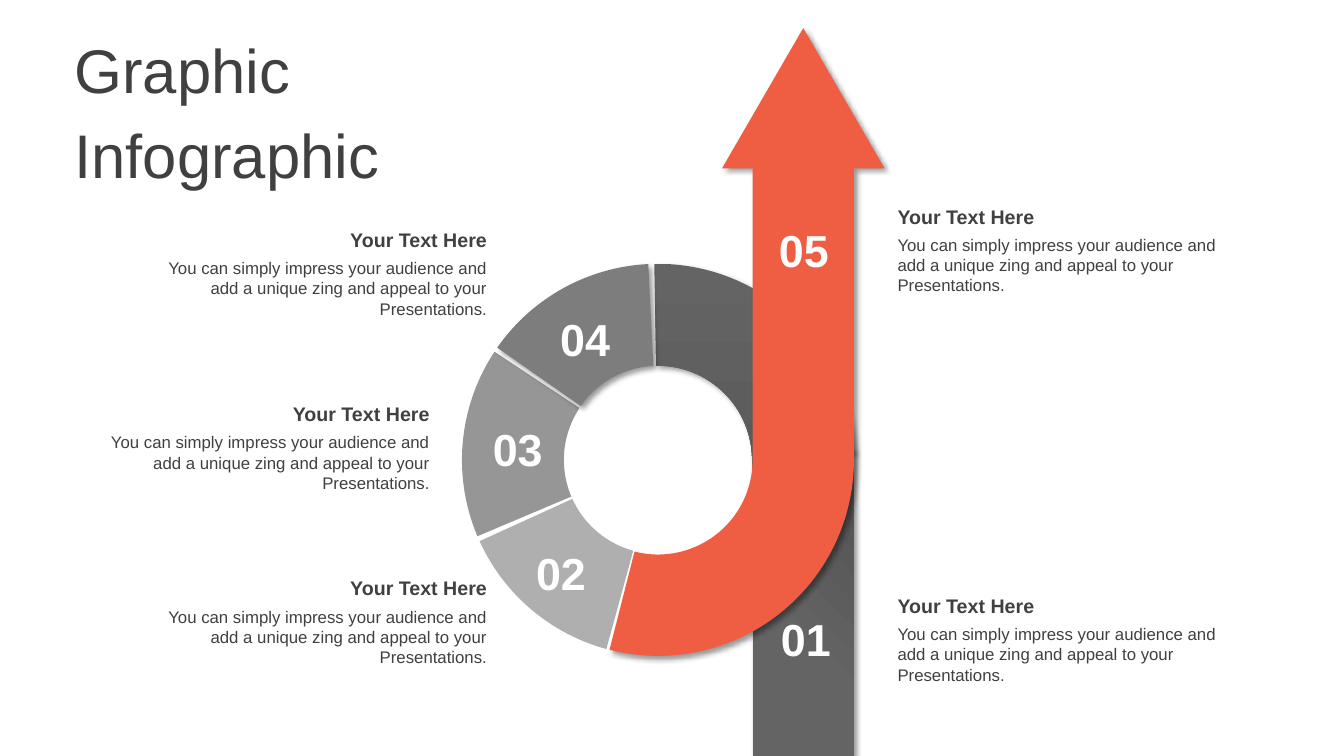
from dataclasses import dataclass
from math import cos, radians, sin

from lxml import etree
from pptx import Presentation
from pptx.dml import color
from pptx.enum import shapes, text
from pptx.oxml import ns
from pptx.shapes.base import BaseShape
from pptx.shapes.shapetree import GroupShapes, SlideShapes
from pptx.util import Pt

RGBColor = color.RGBColor
TEXT_GRAY = RGBColor(0x40, 0x40, 0x40)
WHITE = RGBColor(0xFF, 0xFF, 0xFF)
ORANGE = RGBColor(0xEF, 0x5E, 0x42)
ROAD_LIGHT = RGBColor(0x64, 0x64, 0x64)
ROAD_DARK = RGBColor(0x50, 0x50, 0x50)
FONT = "Arial"
LEFT, CENTER, RIGHT = text.PP_ALIGN.LEFT, text.PP_ALIGN.CENTER, text.PP_ALIGN.RIGHT

SLIDE_WIDTH, SLIDE_HEIGHT = 960, 540
RING_X, RING_Y, OUTER, INNER = 470, 328.5, 140, 67.6
STEM_LEFT, STEM_RIGHT = RING_X + INNER, RING_X + OUTER
STEM_MIDDLE = (STEM_LEFT + STEM_RIGHT) / 2
ROAD_TOP = 321
TIP_Y, HEAD_Y, HEAD_HALF = 20, 120.2, 58
HOOK_END, HOOK_STEPS = 104.3, 48
CALLOUT_WIDTH = 250

HEADING = "Your Text Here"
BODY = ("You can simply impress your audience and add a unique zing "
        "and appeal to your Presentations.")


@dataclass(frozen=True)
class Segment:
    rotation: float
    start: float
    end: float
    fill: RGBColor | None  # None means the road gradient
    shadow: bool


@dataclass(frozen=True)
class Callout:
    left: float
    top: float
    align: text.PP_ALIGN


@dataclass(frozen=True)
class Number:
    label: str
    left: float
    top: float


ROAD_SEGMENT = Segment(90, 107.35, 160.74, None, True)
SEGMENTS = [
    Segment(285, 108.15, 138.31, RGBColor(0xAF, 0xAF, 0xAF), False),
    Segment(337, 108.04, 141.9, RGBColor(0x96, 0x96, 0x96), False),
    Segment(36, 107.35, 138.7, RGBColor(0x7D, 0x7D, 0x7D), True),
]
CALLOUTS = [
    Callout(105, 159, RIGHT),
    Callout(64, 283.4, RIGHT),
    Callout(105, 407.8, RIGHT),
    Callout(634, 420.5, LEFT),
    Callout(634, 142.5, LEFT),
]
NUMBERS = [
    Number("01", 535.7, 433.5),
    Number("02", 360.7, 386.6),
    Number("03", 329.8, 298),
    Number("04", 378, 219),
    Number("05", 534.2, 155.5),
]


def finish(shape: BaseShape, fill: RGBColor | None, shadow: bool,
           angle: float = 0, light_until: float = 0) -> None:
    """Apply a solid fill or the road gradient, no line, and a soft shadow."""
    if fill is None:
        shape.fill.gradient()
        shape.fill.gradient_angle = angle
        first, last = shape.fill.gradient_stops
        first.color.rgb, first.position = ROAD_LIGHT, light_until
        last.color.rgb, last.position = ROAD_DARK, 1
    else:
        shape.fill.solid()
        shape.fill.fore_color.rgb = fill
    shape.line.fill.background()
    shape.shadow.inherit = False
    if shadow:
        effects = shape._element.spPr.find(ns.qn("a:effectLst"))
        outer = etree.SubElement(effects, ns.qn("a:outerShdw"), blurRad=str(Pt(4)),
                                 dist=str(Pt(3)), dir="2700000", algn="tl",
                                 rotWithShape="0")
        black = etree.SubElement(outer, ns.qn("a:srgbClr"), val="000000")
        etree.SubElement(black, ns.qn("a:alpha"), val="40000")


def add_segment(parts: GroupShapes, segment: Segment) -> None:
    shape = parts.add_shape(shapes.MSO_SHAPE.BLOCK_ARC, Pt(RING_X - OUTER),
                            Pt(RING_Y - OUTER), Pt(2 * OUTER), Pt(2 * OUTER))
    shape.rotation = segment.rotation
    for index, value in enumerate((segment.start, segment.end, 0.26)):
        shape.adjustments[index] = value
    finish(shape, segment.fill, segment.shadow)


def add_road(parts: GroupShapes) -> None:
    road = parts.add_shape(shapes.MSO_SHAPE.RECTANGLE, Pt(STEM_LEFT), Pt(ROAD_TOP),
                           Pt(STEM_RIGHT - STEM_LEFT), Pt(SLIDE_HEIGHT - ROAD_TOP))
    finish(road, None, True, angle=45, light_until=0.38)


def hook_arc(radius: float) -> list[tuple[float, float]]:
    angles = [radians(HOOK_END * step / HOOK_STEPS) for step in range(HOOK_STEPS + 1)]
    return [(RING_X + radius * cos(a), RING_Y + radius * sin(a)) for a in angles]


def add_arrow(parts: GroupShapes) -> None:
    outline = [
        (STEM_MIDDLE, TIP_Y),
        (STEM_MIDDLE + HEAD_HALF, HEAD_Y),
        (STEM_RIGHT, HEAD_Y),
        *hook_arc(OUTER),
        *reversed(hook_arc(INNER)),
        (STEM_LEFT, HEAD_Y),
        (STEM_MIDDLE - HEAD_HALF, HEAD_Y),
    ]
    points = [(Pt(x), Pt(y)) for x, y in outline]
    builder = parts.build_freeform(*points[0])
    builder.add_line_segments(points[1:], close=True)
    finish(builder.convert_to_shape(), ORANGE, True)


def add_text(parts: SlideShapes | GroupShapes, words: str, left: float, top: float,
             width: float, height: float, size: float, align: text.PP_ALIGN,
             ink: RGBColor = TEXT_GRAY, bold: bool = False) -> None:
    frame = parts.add_textbox(Pt(left), Pt(top), Pt(width), Pt(height)).text_frame
    frame.word_wrap = True
    frame.auto_size = text.MSO_AUTO_SIZE.SHAPE_TO_FIT_TEXT
    frame.text = words
    paragraph = frame.paragraphs[0]
    paragraph.alignment = align
    font = paragraph.runs[0].font
    font.name, font.size, font.bold = FONT, Pt(size), bold
    font.color.rgb = ink


def format_title(title: BaseShape) -> None:
    title.left, title.top, title.width, title.height = Pt(46), Pt(21), Pt(355), Pt(109)
    frame = title.text_frame
    frame.text = "Graphic Infographic"
    frame.word_wrap = True
    frame.auto_size = text.MSO_AUTO_SIZE.NONE
    frame.vertical_anchor = text.MSO_ANCHOR.MIDDLE
    paragraph = frame.paragraphs[0]
    paragraph.alignment = LEFT
    paragraph.line_spacing = 1.15
    font = paragraph.runs[0].font
    font.name, font.size = FONT, Pt(44)
    font.color.rgb = TEXT_GRAY


def main() -> None:
    presentation = Presentation()
    presentation.slide_width, presentation.slide_height = Pt(SLIDE_WIDTH), Pt(SLIDE_HEIGHT)
    slide = presentation.slides.add_slide(presentation.slide_layouts[5])
    format_title(slide.shapes.title)

    loop = slide.shapes.add_group_shape().shapes
    add_segment(loop, ROAD_SEGMENT)
    add_road(loop)
    add_arrow(loop)
    for segment in SEGMENTS:
        add_segment(loop, segment)

    for callout in CALLOUTS:
        parts = slide.shapes.add_group_shape().shapes
        add_text(parts, BODY, callout.left, callout.top + 21.7, CALLOUT_WIDTH, 51,
                 12, callout.align)
        add_text(parts, HEADING, callout.left, callout.top, CALLOUT_WIDTH, 24.5,
                 14, callout.align, bold=True)

    for number in NUMBERS:
        add_text(slide.shapes, number.label, number.left, number.top, 80, 46,
                 32, CENTER, WHITE, bold=True)

    presentation.save("out.pptx")


if __name__ == "__main__":
    main()
